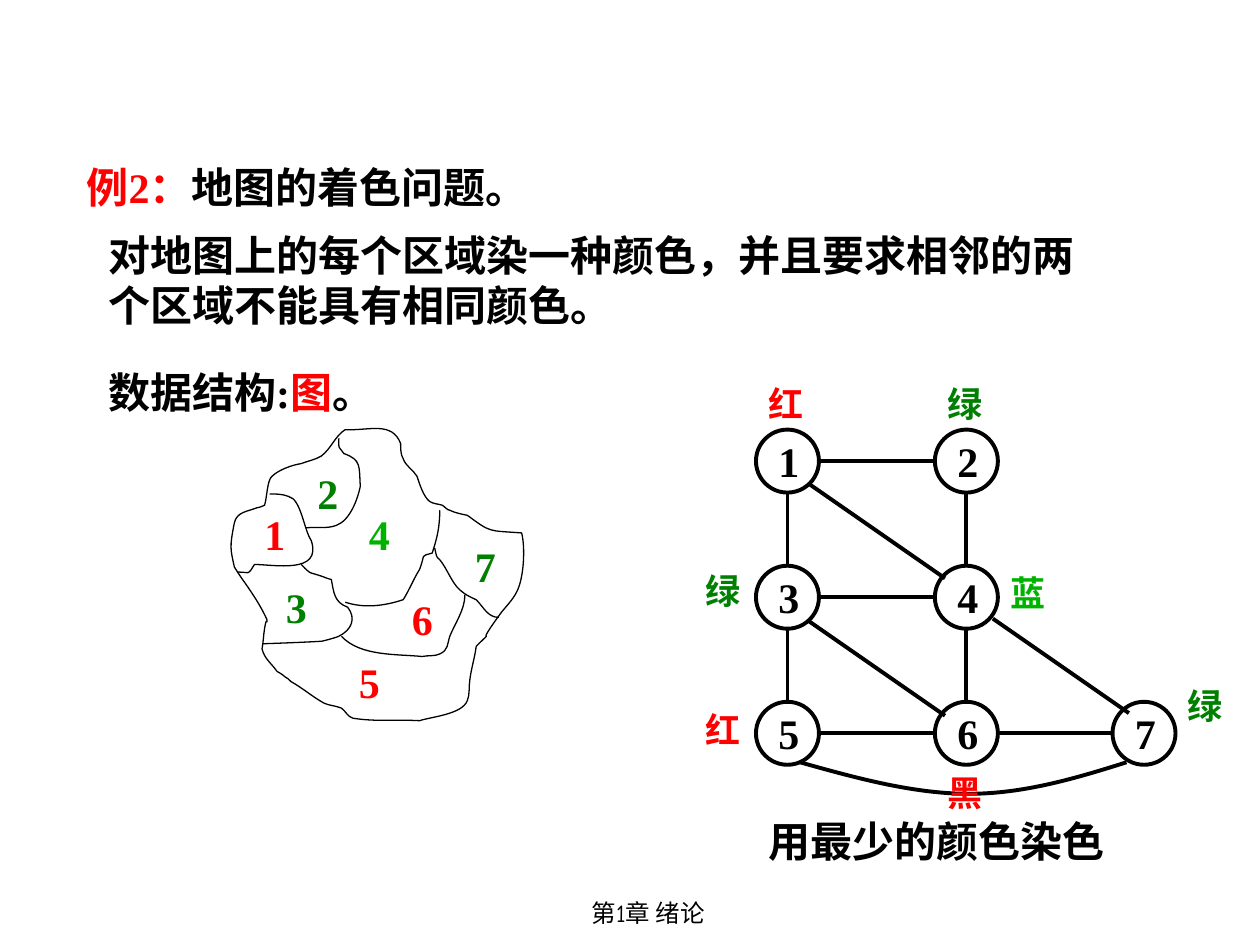
from pptx import Presentation
from pptx.dml.color import RGBColor
from pptx.enum.shapes import MSO_CONNECTOR as Connector, MSO_SHAPE as Shape
from pptx.enum.text import MSO_AUTO_SIZE as AutoSize, PP_ALIGN as Align
from pptx.oxml.ns import qn
from pptx.util import Inches, Pt
from lxml.etree import SubElement

BLACK, RED, GREEN, BLUE = "000000", "FF0000", "008000", "00B200"
NODE = 0.5
COLUMNS = [6, 7.42, 8.83]
ROWS = [3.41 + 1.08 * row for row in range(3)]

COASTLINE = [
    (2.12, 4.92),
    (2.07, 4.81, 2.01, 4.72, 1.94, 4.62), (1.91, 4.58, 1.86, 4.5, 1.86, 4.5),
    (1.83, 4.36, 1.82, 4.35, 1.86, 4.15), (1.88, 4.06, 1.97, 4.06, 2.04, 4.03),
    (2.06, 4.03, 2.1, 4.01, 2.1, 4.01), (2.12, 3.95, 2.12, 3.81, 2.16, 3.78),
    (2.21, 3.73, 2.32, 3.69, 2.39, 3.68), (2.44, 3.66, 2.5, 3.65, 2.55, 3.62),
    (2.63, 3.56, 2.66, 3.46, 2.74, 3.41), (2.93, 3.42, 3.11, 3.34, 3.18, 3.52),
    (3.18, 3.56, 3.18, 3.61, 3.2, 3.64), (3.22, 3.7, 3.28, 3.73, 3.31, 3.78),
    (3.33, 3.84, 3.36, 3.94, 3.41, 3.98), (3.44, 4, 3.48, 4, 3.51, 4.01),
    (3.53, 4.02, 3.55, 4.05, 3.57, 4.05), (3.61, 4.07, 3.66, 4.08, 3.71, 4.09),
    (3.9, 4.23, 3.87, 4.21, 4.14, 4.23), (4.17, 4.34, 4.16, 4.59, 4.1, 4.7),
    (4.07, 4.76, 4.02, 4.81, 3.98, 4.86), (3.73, 5.2, 3.97, 4.94, 3.78, 5.13),
    (3.77, 5.21, 3.74, 5.31, 3.73, 5.39), (3.72, 5.45, 3.73, 5.51, 3.71, 5.56),
    (3.67, 5.67, 3.42, 5.69, 3.33, 5.72), (3.16, 5.71, 2.98, 5.73, 2.8, 5.7),
    (2.76, 5.69, 2.74, 5.64, 2.71, 5.62), (2.66, 5.6, 2.61, 5.6, 2.57, 5.58),
    (2.48, 5.53, 2.4, 5.46, 2.31, 5.41), (2.3, 5.39, 2.27, 5.38, 2.26, 5.37),
    (2.24, 5.35, 2.2, 5.33, 2.2, 5.33), (2.15, 5.26, 2.1, 5.23, 2.08, 5.15),
    (2.09, 5.1, 2.09, 5.05, 2.1, 4.99), (2.12, 4.87, 2.12, 4.97, 2.12, 4.92),
]
BORDERS = [
    [(2.14, 3.92), (2.19, 3.92, 2.24, 3.92, 2.29, 3.94),
     (2.39, 3.96, 2.41, 4.2, 2.47, 4.29), (2.56, 4.56, 2.17, 4.48, 2.02, 4.48),
     (1.96, 4.57, 2, 4.54, 1.88, 4.54)],
    [(2.39, 4.48), (2.48, 4.57, 2.43, 4.53, 2.57, 4.58),
     (2.59, 4.59, 2.63, 4.6, 2.63, 4.6), (2.65, 4.7, 2.65, 4.78, 2.76, 4.82),
     (2.83, 4.91, 2.79, 5, 2.69, 5.05), (2.67, 5.06, 2.56, 5.09, 2.55, 5.09),
     (2.39, 5.1, 2.08, 5.11, 2.08, 5.11)],
    [(2.43, 4.19), (2.51, 4.18, 2.59, 4.2, 2.67, 4.17),
     (2.78, 4.13, 2.84, 3.96, 2.86, 3.86), (2.85, 3.7, 2.87, 3.65, 2.73, 3.6),
     (2.68, 3.53, 2.69, 3.57, 2.69, 3.48)],
    [(3.45, 4.35), (3.48, 4.48, 3.45, 4.37, 3.53, 4.5),
     (3.61, 4.64, 3.62, 4.69, 3.78, 4.76), (3.84, 4.82, 3.87, 4.9, 3.96, 4.9)],
    [(2.71, 5.05), (2.86, 5.21, 3.15, 5.19, 3.35, 5.21),
     (3.4, 5.2, 3.45, 5.21, 3.49, 5.19), (3.56, 5.16, 3.55, 5.11, 3.57, 5.05),
     (3.61, 4.95, 3.69, 4.84, 3.69, 4.72)],
    [(2.74, 4.78), (2.89, 4.83, 3.05, 4.81, 3.2, 4.76),
     (3.25, 4.68, 3.28, 4.6, 3.33, 4.52), (3.38, 4.39, 3.33, 4.42, 3.43, 4.39),
     (3.47, 4.27, 3.49, 4.18, 3.49, 4.05)],
]
REGIONS = [
    ("1", 2, 3.99, RED), ("2", 2.42, 3.66, GREEN), ("4", 2.83, 3.99, BLUE),
    ("3", 2.17, 4.57, GREEN), ("5", 2.75, 5.16, RED), ("6", 3.17, 4.66, RED),
    ("7", 3.67, 4.24, GREEN),
]
NODES = {"1": (0, 0), "2": (1, 0), "3": (0, 1), "4": (1, 1),
         "5": (0, 2), "6": (1, 2), "7": (2, 2)}
STRAIGHT_EDGES = ["12", "34", "56", "67", "13", "24", "35", "46"]
DIAGONAL_EDGES = [(6.42, 3.84), (6.42, 4.93), (7.88, 4.91)]
ARC_EDGE = [(6.35, 6.05), (6.81, 6.18, 7.26, 6.3, 7.69, 6.3),
            (8.12, 6.3, 8.53, 6.18, 8.94, 6.05)]
COLOR_NAMES = [
    ("红", 6, 2.99, RED), ("绿", 7.42, 2.99, GREEN), ("绿", 5.5, 4.47, GREEN),
    ("蓝", 7.92, 4.49, BLUE), ("红", 5.5, 5.57, RED), ("黑", 7.42, 6.07, RED),
    ("绿", 9.33, 5.38, GREEN),
]


def rgb(color):
    return RGBColor.from_string(color)


def add_text(slide, left, top, width, height, parts, size=24, font="Times New Roman",
             bold=True, align=Align.LEFT):
    box = slide.shapes.add_textbox(Inches(left), Inches(top), Inches(width), Inches(height))
    frame = box.text_frame
    frame.word_wrap = True
    frame.auto_size = AutoSize.SHAPE_TO_FIT_TEXT
    paragraph = frame.paragraphs[0]
    paragraph.alignment = align
    for words, color in parts:
        run = paragraph.add_run()
        run.text = words
        run.font.size = Pt(size)
        run.font.name = font
        run.font.bold = bold
        run.font.color.rgb = rgb(color)


def style_outline(shape, weight):
    shape.shadow.inherit = False
    shape.fill.background()
    shape.line.color.rgb = rgb(BLACK)
    shape.line.width = Pt(weight)


def add_curve(slide, curve, weight=0.75, close=False):
    start, *bends = curve
    builder = slide.shapes.build_freeform(Inches(start[0]), Inches(start[1]))
    ends = [(Inches(bend[4]), Inches(bend[5])) for bend in bends]
    builder.add_line_segments(ends, close=close)
    outline = builder.convert_to_shape()
    style_outline(outline, weight)
    segments = list(outline._element.iter(qn("a:lnTo")))
    for segment, bend in zip(segments, bends):
        segment.tag = qn("a:cubicBezTo")
        segment.clear()
        for x, y in zip(bend[::2], bend[1::2]):
            SubElement(segment, qn("a:pt"), x=str(Inches(x) - outline.left),
                       y=str(Inches(y) - outline.top))


def add_edge(slide, x1, y1, x2, y2):
    edge = slide.shapes.add_connector(
        Connector.STRAIGHT, Inches(x1), Inches(y1), Inches(x2), Inches(y2))
    edge.line.color.rgb = rgb(BLACK)
    edge.line.width = Pt(2.25)
    SubElement(edge._element.spPr, qn("a:effectLst"))


def add_node(slide, label, column, row):
    left, top = COLUMNS[column], ROWS[row]
    circle = slide.shapes.add_shape(
        Shape.OVAL, Inches(left), Inches(top), Inches(NODE), Inches(NODE))
    style_outline(circle, 2.25)
    add_text(slide, left + 0.08, top, NODE, NODE, [(label, BLACK)])


def add_straight_edge(slide, first, second):
    (column1, row1), (column2, row2) = NODES[first], NODES[second]
    x1, y1, x2, y2 = COLUMNS[column1], ROWS[row1], COLUMNS[column2], ROWS[row2]
    half = NODE / 2
    if row1 == row2:
        add_edge(slide, x1 + NODE, y1 + half, x2, y2 + half)
    else:
        add_edge(slide, x1 + half, y1 + NODE, x2 + half, y2)


def add_map(slide):
    add_curve(slide, COASTLINE, close=True)
    for border in BORDERS:
        add_curve(slide, border)
    for number, left, top, color in REGIONS:
        add_text(slide, left, top, 0.5, 0.5, [(number, color)])


def add_graph(slide):
    for label, (column, row) in NODES.items():
        add_node(slide, label, column, row)
    for first, second in STRAIGHT_EDGES:
        add_straight_edge(slide, first, second)
    for x, y in DIAGONAL_EDGES:
        add_edge(slide, x, y, x + 1.08, y + 0.75)
    add_curve(slide, ARC_EDGE, weight=2.25)
    for name, left, top, color in COLOR_NAMES:
        add_text(slide, left, top, min(0.92, 9.91 - left), 0.44, [(name, color)], size=20)


def main():
    deck = Presentation()
    deck.slide_width, deck.slide_height = Inches(10), Inches(7.5)
    slide = deck.slides.add_slide(deck.slide_layouts[6])
    add_text(slide, 3.56, 7.08, 3.17, 0.5, [("第1章 绪论", BLACK)], size=14,
             font="Comic Neue", bold=False, align=Align.CENTER)
    add_text(slide, 0.59, 1.23, 6.33, 0.5, [("例2：", RED), ("地图的着色问题。", BLACK)])
    add_text(slide, 0.76, 1.77, 8.17, 0.9, [
        ("对地图上的每个区域染一种颜色，并且要求相邻的两个区域不能具有相同颜色。", BLACK)])
    add_text(slide, 0.76, 2.86, 5.25, 0.5, [("数据结构:", BLACK), ("图", RED), ("。", BLACK)])
    add_map(slide)
    add_graph(slide)
    add_text(slide, 6, 6.42, 3.83, 0.5, [("用最少的颜色染色", BLACK)])
    deck.save("out.pptx")


if __name__ == "__main__":
    main()
